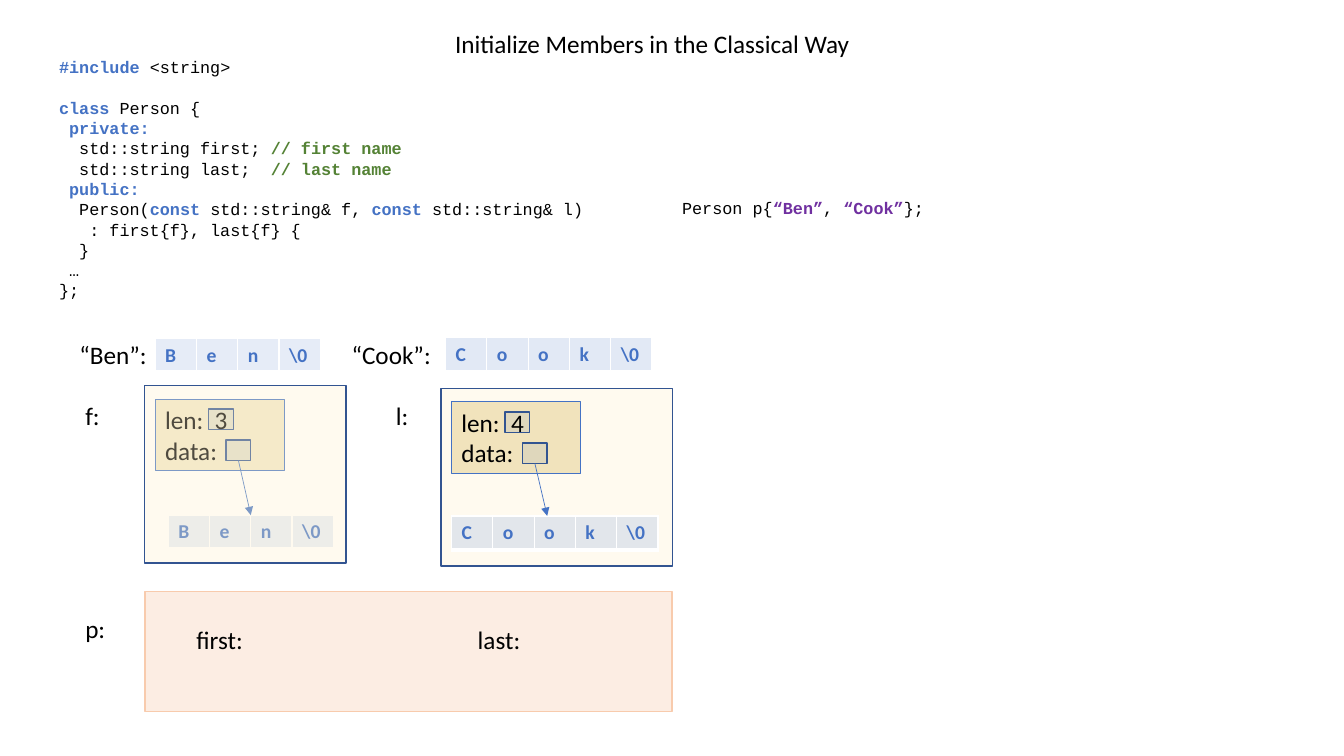
"""Draw the slide on initializing string members in the classical way."""
from dataclasses import dataclass
from typing import Any

from lxml import etree
from pptx import Presentation, dml, util as u
from pptx.dml import color as col
from pptx.enum import shapes as sh, text as tx
from pptx.oxml import ns

HUES = {"ink": "000000", "blue": "4472C4", "navy": "325491", "green": "548235",
        "plum": "7030A0", "gold": "BF9000", "cream": "FFF2CC", "peach": "F8CBAD",
        "pale": "DAE3F3", "sky": "B4C7E7", "white": "FFFFFF"}
CELL, ROW = 1.04, 0.84
LEAD = u.Pt(14.5)
Run = tuple[str, str]


@dataclass
class Label:
    x: float
    y: float
    w: float
    h: float
    words: str
    align: Any = tx.PP_ALIGN.LEFT
    wrap: bool = True


@dataclass
class Code:
    x: float
    y: float
    w: float
    h: float
    lines: list[list[Run]]
    gaps: tuple[int, ...] = ()


@dataclass
class Chars:
    x: float
    y: float
    word: str
    hue: str
    alpha: int


@dataclass
class Heap:
    x: float
    y: float
    wide: float
    chars: Chars
    veiled: bool


LABELS = [
    Label(5.66, 0.58, 21.56, 1.02, "Initialize Members in the Classical Way", tx.PP_ALIGN.CENTER),
    Label(1.75, 8.43, 2.3, 1.02, "“Ben”:"),
    Label(8.61, 8.43, 2.6, 1.02, "“Cook”:"),
    Label(1.9, 9.96, 1.2, 1.02, "f:"),
    Label(9.73, 9.96, 1.2, 1.02, "l:"),
    Label(1.9, 15.32, 1.2, 1.02, "p:"),
]
FIELDS = [
    Label(4.7, 15.6, 1.7, 1.02, "first:", wrap=False),
    Label(11.79, 15.6, 1.6, 1.02, "last:", wrap=False),
]
CODES = [
    Code(1.24, 1.3, 15.7, 6.4, [
        [("#include ", "blue"), ("<string>", "ink")],
        [("class", "blue"), (" Person {", "ink")],
        [(" ", "ink"), ("private:", "blue")],
        [("  std::string first; ", "ink"), ("// first name", "green")],
        [("  std::string last;  ", "ink"), ("// last name", "green")],
        [(" ", "ink"), ("public:", "blue")],
        [("  Person(", "ink"), ("const", "blue"), (" std::string& f, ", "ink"),
         ("const", "blue"), (" std::string& l)", "ink")],
        [("   : first{f}, last{f} {", "ink")],
        [("  }", "ink")],
        [(" …", "ink")],
        [("};", "ink")],
    ], (1,)),
    Code(16.94, 4.85, 15.7, 0.76, [
        [("Person p{", "ink"), ("“Ben”", "plum"), (", ", "ink"),
         ("“Cook”", "plum"), ("};", "ink")],
    ]),
]
CHARS = [Chars(3.91, 8.53, "Ben", "pale", 66), Chars(11.23, 8.51, "Cook", "sky", 38)]
HEAPS = [
    Heap(3.91, 10.06, 5.08, Chars(4.24, 12.98, "Ben", "pale", 66), True),
    Heap(11.38, 10.13, 5.84, Chars(11.38, 13.0, "Cook", "sky", 38), False),
]


def rgb(hue: str) -> col.RGBColor:
    """Look up a colour."""
    return col.RGBColor.from_string(HUES[hue])


def put(item: Any, vals: dict[str, Any]) -> None:
    """Set each named value on an item."""
    for key, val in vals.items():
        setattr(item, key, val)


def tint(fill: Any, node: Any, hue: str, alpha: int) -> None:
    """Fill with a see-through colour."""
    fill.solid()
    fill.fore_color.rgb = rgb(hue)
    mark = node.find(".//" + ns.qn("a:srgbClr"))
    etree.SubElement(mark, ns.qn("a:alpha"), val=str(alpha * 1000))


def write(para: Any, words: str, hue: str, **vals: Any) -> None:
    """Add one formatted run."""
    run = para.add_run()
    run.text = words
    put(run.font, {"name": "Calibri", "size": u.Pt(18), "bold": False} | vals)
    run.font.color.rgb = rgb(hue)


def label(slide: Any, item: Label) -> None:
    """Add a line of plain text."""
    box = slide.shapes.add_textbox(*map(u.Cm, (item.x, item.y, item.w, item.h)))
    box.text_frame.word_wrap = item.wrap
    para = box.text_frame.paragraphs[0]
    para.alignment = item.align
    write(para, item.words, "ink")


def code(slide: Any, item: Code) -> None:
    """Add a listing of coloured code."""
    box = slide.shapes.add_textbox(*map(u.Cm, (item.x, item.y, item.w, item.h)))
    frame = box.text_frame
    frame.word_wrap = True
    for num, line in enumerate(item.lines):
        para = frame.add_paragraph() if num else frame.paragraphs[0]
        put(para, {"line_spacing": LEAD, "space_before": LEAD if num in item.gaps else u.Pt(0)})
        for words, hue in line:
            write(para, words, hue, name="Courier New", size=u.Pt(12), bold=hue != "ink")


def rect(slide: Any, area: tuple[float, ...], hue: str, alpha: int,
         edge: str, width: float = 1) -> Any:
    """Add a tinted rectangle."""
    box = slide.shapes.add_shape(sh.MSO_SHAPE.RECTANGLE, *map(u.Cm, area))
    box.shadow.inherit = False
    tint(box.fill, box.element.spPr, hue, alpha)
    box.line.color.rgb = rgb(edge)
    box.line.width = u.Pt(width)
    return box


def chars(slide: Any, item: Chars) -> None:
    """Add a row of characters closed by a null."""
    marks = [*item.word, "\\0"]
    area = (item.x, item.y, CELL * len(marks), ROW)
    grid = slide.shapes.add_table(1, len(marks), *map(u.Cm, area)).table
    put(grid, {"first_row": False, "horz_banding": False})
    for num, mark in enumerate(marks):
        grid.columns[num].width = u.Cm(CELL)
        cell = grid.cell(0, num)
        write(cell.text_frame.paragraphs[0], mark, "blue", size=u.Pt(14), bold=True)
        node = cell._tc.get_or_add_tcPr()
        tint(cell.fill, node, item.hue, item.alpha)
        for pos, (side, width) in enumerate({"L": 1, "R": 1, "T": 1, "B": 3}.items()):
            edge = etree.Element(ns.qn(f"a:ln{side}"), w=str(u.Pt(width)))
            paint = etree.SubElement(edge, ns.qn("a:solidFill"))
            etree.SubElement(paint, ns.qn("a:srgbClr"), val=HUES["white"])
            node.insert(pos, edge)


def arrow(slide: Any, start: Any, x: float, y: float) -> None:
    """Point from the bottom of a box to a spot."""
    line = slide.shapes.add_connector(sh.MSO_CONNECTOR.STRAIGHT, 0, 0, u.Cm(x), u.Cm(y))
    line.begin_connect(start, 2)
    line.line.color.rgb = rgb("blue")
    line.line.width = u.Pt(0.5)
    etree.SubElement(line.line._get_or_add_ln(), ns.qn("a:tailEnd"), type="triangle")
    etree.SubElement(line._element.spPr, ns.qn("a:effectLst"))


def heap(slide: Any, item: Heap) -> None:
    """Add a string object and the characters it points to."""
    x, y = item.x, item.y
    frame = ((x - 0.27, y - 0.34, item.wide, 4.47), "cream", 31, "navy")
    if not item.veiled:
        rect(slide, *frame)
    panel = rect(slide, (x, y, 3.26, 1.8), "gold", 21, "blue", 0.75).text_frame
    for num, words in enumerate(("len:", "data:")):
        para = panel.add_paragraph() if num else panel.paragraphs[0]
        para.alignment = tx.PP_ALIGN.LEFT
        write(para, words, "ink")
    size, data = (rect(slide, (x + dx, y + dy, 0.62, 0.52), "blue", 10, "navy")
                  for dx, dy in ((1.35, 0.25), (1.79, 1.03)))
    put(size.text_frame, {"margin_left": 0, "margin_right": 0, "margin_top": 0,
                          "margin_bottom": 0, "word_wrap": False})
    write(size.text_frame.paragraphs[0], str(len(item.chars.word)), "ink")
    chars(slide, item.chars)
    arrow(slide, data, x + 2.41, item.chars.y)
    if item.veiled:
        rect(slide, *frame)


def main() -> None:
    """Build and save the slide."""
    deck = Presentation()
    put(deck, {"slide_width": u.Cm(33.87), "slide_height": u.Cm(19.05)})
    slide = deck.slides.add_slide(deck.slide_layouts[6])
    rect(slide, (3.66, 14.91, 13.28, 3.02), "peach", 34, "peach")
    for draw, items in ((heap, HEAPS), (label, LABELS + FIELDS), (code, CODES), (chars, CHARS)):
        for item in items:
            draw(slide, item)
    deck.save("out.pptx")


if __name__ == "__main__":
    main()
